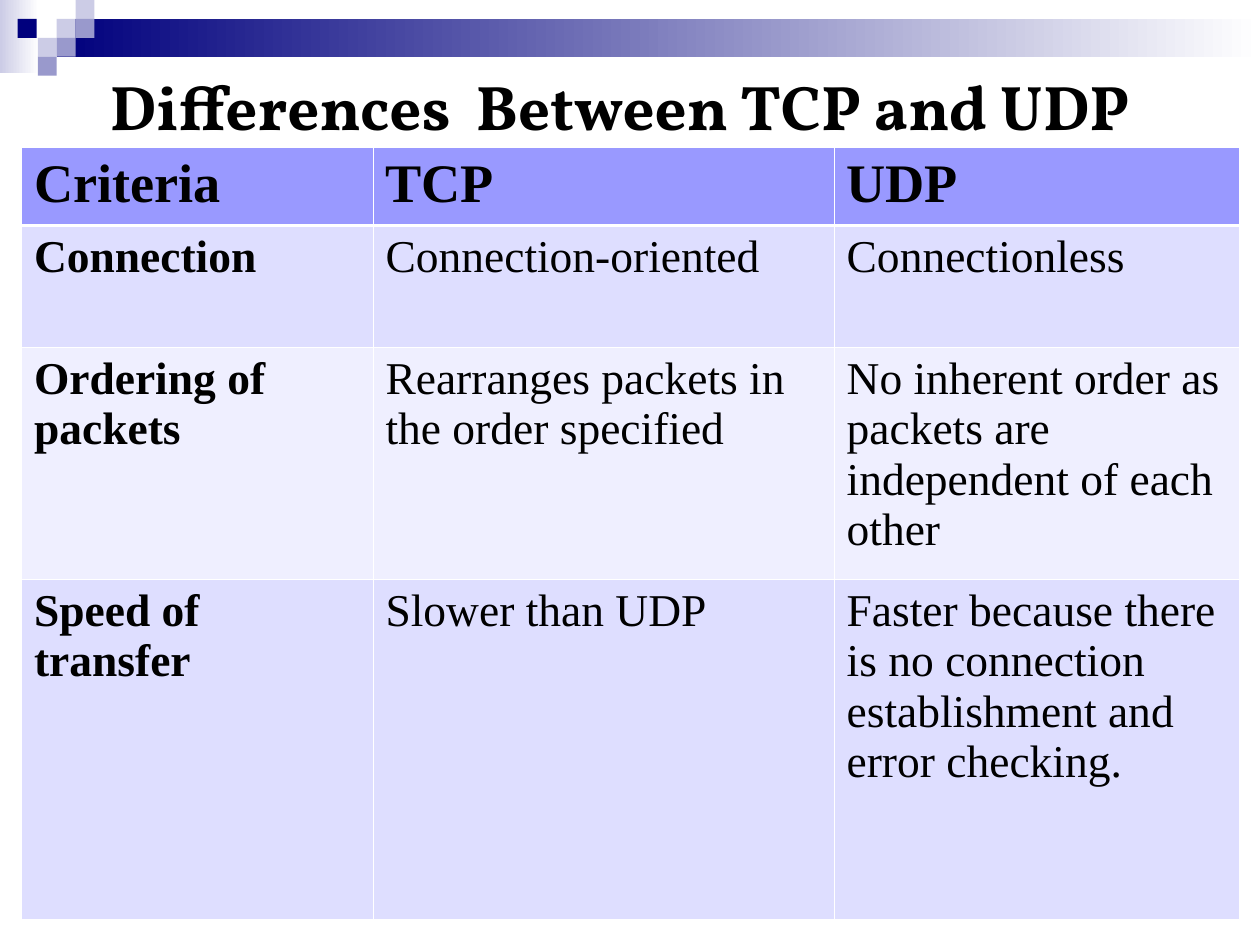
from typing import NamedTuple

from pptx import Presentation
from pptx.dml.color import RGBColor
from pptx.enum import shapes, text
from pptx.oxml import parse_xml
from pptx.oxml.ns import nsdecls
from pptx.util import Inches, Pt

COLORS = {
    "navy": "00007D",
    "lavender": "CCCCE6",
    "violet": "9999CC",
    "white": "FFFFFF",
    "black": "000000",
    "header": "9999FF",
    "odd_row": "DEDEFF",
    "even_row": "EFEFFF",
}
TILE = 0.15
THIN, THICK = 0.45, 1.47


class Block(NamedTuple):
    left: float
    top: float
    color: str
    width: float = TILE
    height: float = TILE
    fades: bool = False


BLOCKS = [
    Block(0, 0, "lavender", 0.31, 0.58, fades=True),
    Block(0.45, 0.15, "navy", 9.55, 0.3, fades=True),
    Block(0.45, 0.15, "lavender"),
    Block(0.6, 0, "lavender"),
    Block(0.6, 0.15, "violet"),
    Block(0.3, 0.3, "lavender"),
    Block(0.14, 0.15, "navy"),
    Block(0.45, 0.3, "violet"),
    Block(0.3, 0.45, "violet"),
]

COLUMN_WIDTHS = [2.79, 3.66, 3.22]
ROW_HEIGHTS = [0.62, 0.97, 1.84, 2.7]
ROWS = [
    ("Criteria", "TCP", "UDP"),
    ("Connection", "Connection-oriented", "Connectionless"),
    ("Ordering of packets", "Rearranges packets in the order specified",
     "No inherent order as packets are independent of each other"),
    ("Speed of transfer", "Slower than UDP",
     "Faster because there is no connection establishment and error checking."),
]


def rgb(name: str) -> RGBColor:
    return RGBColor.from_string(COLORS[name])


def format_font(font, **values) -> None:
    for name, value in values.items():
        setattr(font, name, value)
    font.color.rgb = rgb("black")


def draw_block(slide, block: Block) -> None:
    shape = slide.shapes.add_shape(
        shapes.MSO_SHAPE.RECTANGLE, Inches(block.left), Inches(block.top),
        Inches(block.width), Inches(block.height))
    shape.shadow.inherit = False
    shape.line.fill.background()
    if block.fades:
        shape.fill.gradient()
        shape.fill.gradient_angle = 0
        for stop, color in zip(shape.fill.gradient_stops, (block.color, "white")):
            stop.color.rgb = rgb(color)
    else:
        shape.fill.solid()
        shape.fill.fore_color.rgb = rgb(block.color)


def set_borders(cell, top: float, bottom: float) -> None:
    """Add white borders; they must come before the fill in the cell XML."""
    properties = cell._tc.get_or_add_tcPr()
    widths = {"lnL": THIN, "lnR": THIN, "lnT": top, "lnB": bottom}
    for index, (tag, width) in enumerate(widths.items()):
        properties.insert(index, parse_xml(
            f'<a:{tag} {nsdecls("a")} w="{Pt(width)}"><a:solidFill>'
            f'<a:srgbClr val="{COLORS["white"]}"/></a:solidFill></a:{tag}>'))


def draw_table(slide) -> None:
    table = slide.shapes.add_table(
        len(ROWS), len(COLUMN_WIDTHS), Inches(0.17), Inches(1.17),
        Inches(sum(COLUMN_WIDTHS)), Inches(sum(ROW_HEIGHTS))).table
    for column, width in zip(table.columns, COLUMN_WIDTHS):
        column.width = Inches(width)
    for row_index, (row, height) in enumerate(zip(table.rows, ROW_HEIGHTS)):
        row.height = Inches(height)
        is_header = row_index == 0
        fill = "header" if is_header else "odd_row" if row_index % 2 else "even_row"
        for column_index, (cell, words) in enumerate(zip(row.cells, ROWS[row_index])):
            cell.text = words
            cell.fill.solid()
            cell.fill.fore_color.rgb = rgb(fill)
            set_borders(cell, top=THICK if row_index == 1 else THIN,
                        bottom=THICK if is_header else THIN)
            format_font(cell.text_frame.paragraphs[0].runs[0].font,
                        name="Times New Roman", size=Pt(31 if is_header else 26),
                        bold=is_header or column_index == 0)


def draw_title(slide) -> None:
    title = slide.shapes.title
    title.left, title.top = Inches(0.17), Inches(0.5)
    title.width, title.height = Inches(9.5), Inches(0.67)
    frame = title.text_frame
    frame.text = "Differences  Between TCP and UDP"
    frame.vertical_anchor = text.MSO_ANCHOR.MIDDLE
    frame.auto_size = text.MSO_AUTO_SIZE.NONE
    paragraph = frame.paragraphs[0]
    paragraph.alignment = text.PP_ALIGN.CENTER
    format_font(paragraph.runs[0].font, name="Vollkorn", size=Pt(36), bold=True)


def main() -> None:
    presentation = Presentation()
    presentation.slide_width = Inches(10)
    presentation.slide_height = Inches(7.5)
    slide = presentation.slides.add_slide(presentation.slide_layouts[5])
    for block in BLOCKS:
        draw_block(slide, block)
    draw_title(slide)
    draw_table(slide)
    presentation.save("out.pptx")


if __name__ == "__main__":
    main()
